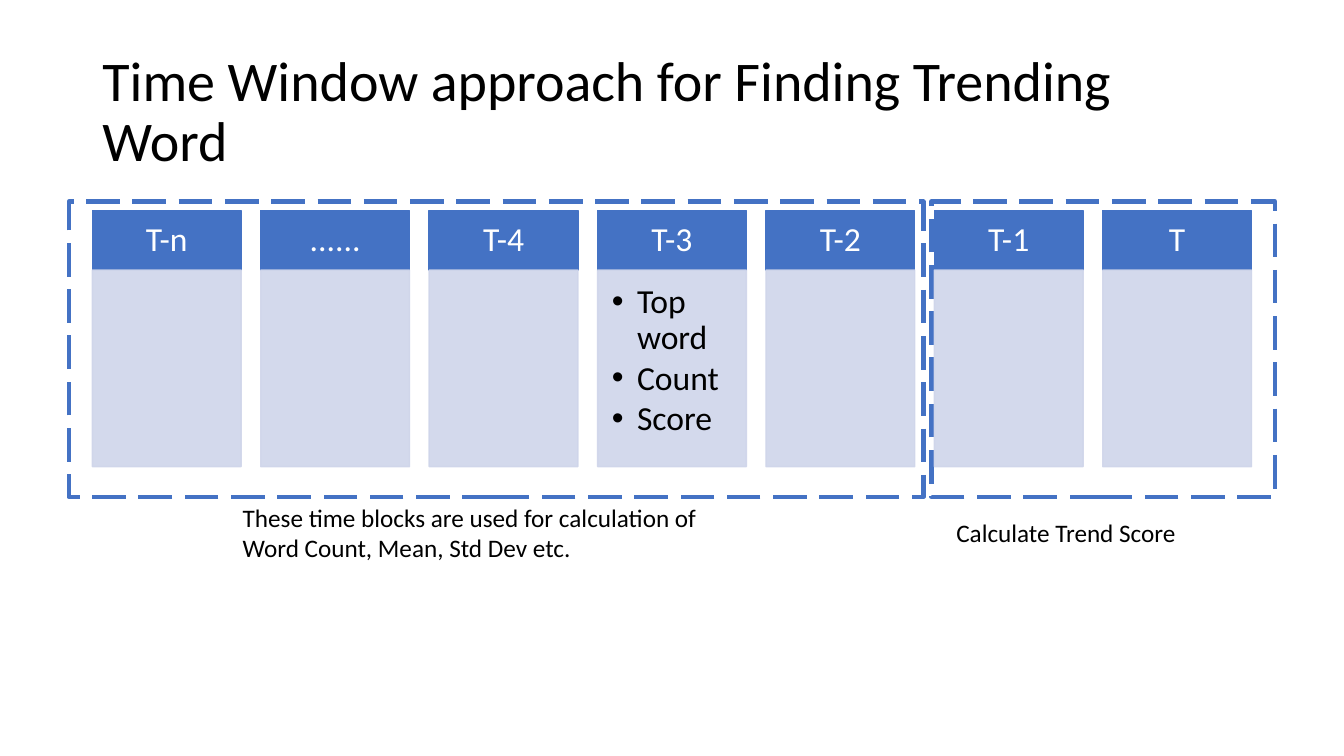
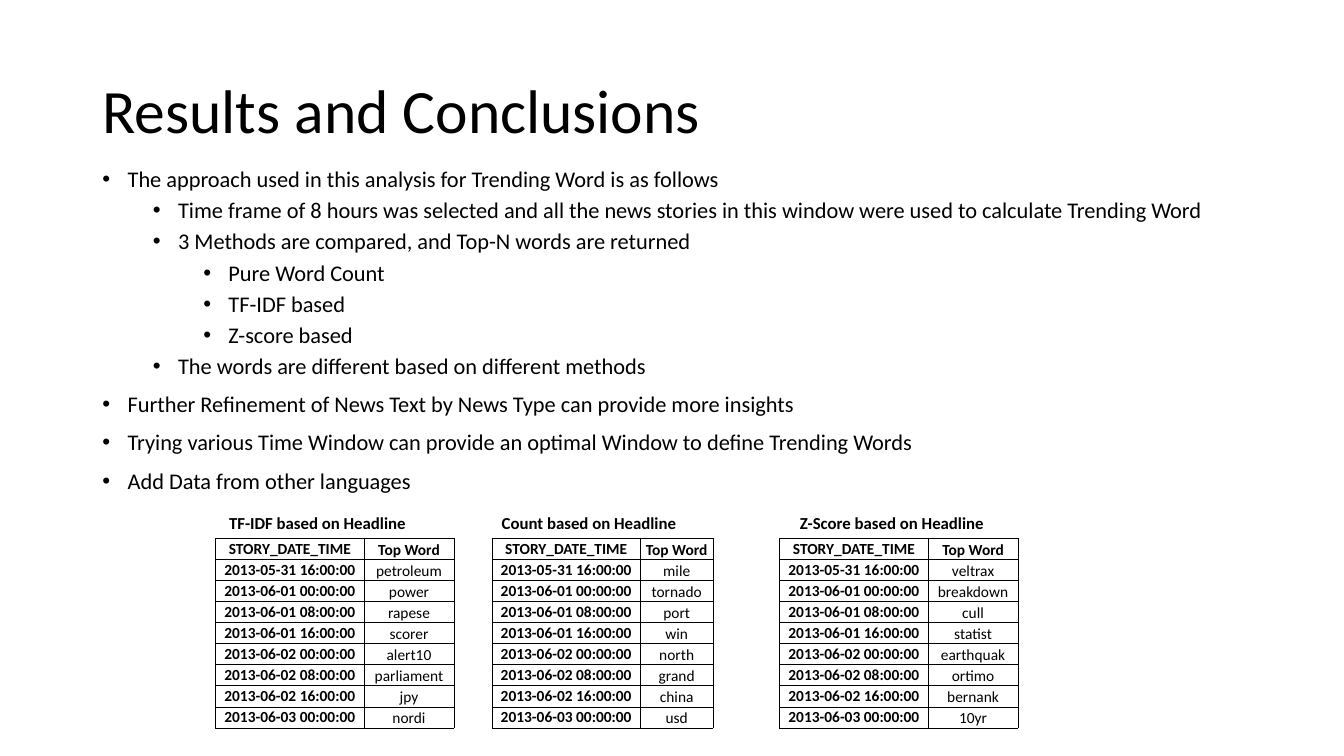
import dataclasses

import lxml.etree
import pptx
import pptx.dml.color
import pptx.enum.dml
import pptx.enum.shapes
import pptx.enum.text
import pptx.oxml.ns
import pptx.util

Pt = pptx.util.Pt
qn = pptx.oxml.ns.qn
Align = pptx.enum.text.PP_ALIGN
Anchor = pptx.enum.text.MSO_ANCHOR


@dataclasses.dataclass(frozen=True)
class Theme:
    font: str = "Calibri"
    ink: str = "000000"
    paper: str = "FFFFFF"
    blue: str = "4472C4"
    pale: str = "CFD5EA"
    title: int = 44
    long_title: int = 40
    block: int = 24
    note: int = 18
    body: int = 16
    label: int = 12
    cell: int = 11
    tight: float = 0.9


THEME = Theme()
TITLE_BOX = (66, 28.8, 828, 104.4)

BLOCKS = [
    ("T-n", []), ("......", []), ("T-4", []),
    ("T-3", ["Top word", "Count", "Score"]),
    ("T-2", []), ("T-1", []), ("T", []),
]
FRAMES = [(665.3, 144, 245.5, 211), (49, 144, 610.6, 211)]
NOTES = [
    ((166.3, 355, 343.4, 51),
     "These time blocks are used for calculation of Word Count, Mean, Std Dev etc."),
    ((676, 365.8, 189.4, 29), "Calculate Trend Score"),
]

POINTS = [
    (0, "The approach used in this analysis for Trending Word is as follows"),
    (1, "Time frame of 8 hours was selected and all the news stories in this "
        "window were used to calculate Trending Word"),
    (1, "3 Methods are compared, and Top-N words are returned"),
    (2, "Pure Word Count"),
    (2, "TF-IDF based"),
    (2, "Z-score based"),
    (1, "The words are different based on different methods"),
    (0, "Further Refinement of News Text by News Type can provide more insights"),
    (0, "Trying various Time Window can provide an optimal Window to define Trending Words"),
    (0, "Add Data from other languages"),
]

HEADS = ("STORY_DATE_TIME", "Top Word")
TIMES = [
    "2013-05-31 16:00:00",
    *(f"2013-06-{day} {hour}:00:00" for day in ("01", "02") for hour in ("00", "08", "16")),
    "2013-06-03 00:00:00",
]
# Label, label left, table left, width of the word column, words
RANKS = [
    ("TF-IDF based on Headline", 156.5, 154.1, 64.2,
     ["petroleum", "power", "rapese", "scorer", "alert10", "parliament", "jpy", "nordi"]),
    ("Count based on Headline", 351.3, 351.5, 51.8,
     ["mile", "tornado", "port", "win", "north", "grand", "china", "usd"]),
    ("Z-Score based on Headline", 564.3, 557, 64.2,
     ["veltrax", "breakdown", "cull", "statist", "earthquak", "ortimo", "bernank", "10yr"]),
]


def color(code):
    return pptx.dml.color.RGBColor.from_string(code)


def points(box):
    return [Pt(side) for side in box]


def add_run(para, text, size, ink=THEME.ink, bold=False):
    run = para.add_run()
    run.text = text
    run.font.name = THEME.font
    run.font.size = Pt(size)
    run.font.bold = bold
    run.font.color.rgb = color(ink)


def set_bullet(para, left):
    """Hang a round bullet 18 points before the text, which starts at left."""
    props = para._p.get_or_add_pPr()
    props.set("marL", str(Pt(left)))
    props.set("indent", str(Pt(-18)))
    lxml.etree.SubElement(props, qn("a:buFont")).set("typeface", "Arial")
    lxml.etree.SubElement(props, qn("a:buChar")).set("char", "•")


def set_pads(frame, left, top, right, bottom):
    frame.margin_left, frame.margin_top = Pt(left), Pt(top)
    frame.margin_right, frame.margin_bottom = Pt(right), Pt(bottom)


def place(holder, box):
    holder.left, holder.top, holder.width, holder.height = points(box)
    holder.text_frame.auto_size = pptx.enum.text.MSO_AUTO_SIZE.NONE
    return holder.text_frame


def start_slide(deck, layout, title, size):
    slide = deck.slides.add_slide(deck.slide_layouts.get_by_name(layout))
    frame = place(slide.shapes.title, TITLE_BOX)
    frame.vertical_anchor = Anchor.MIDDLE
    para = frame.paragraphs[0]
    para.alignment = Align.LEFT
    para.line_spacing = THEME.tight
    add_run(para, title, size)
    return slide


def add_rect(slide, box, fill, line, width=1):
    rect = slide.shapes.add_shape(pptx.enum.shapes.MSO_SHAPE.RECTANGLE, *points(box))
    rect.shadow.inherit = False
    rect.fill.solid()
    rect.fill.fore_color.rgb = color(fill)
    rect.line.color.rgb = color(line)
    rect.line.width = Pt(width)
    return rect


def add_note(slide, box, text, size, bold=False):
    frame = slide.shapes.add_textbox(*points(box)).text_frame
    frame.word_wrap = True
    add_run(frame.paragraphs[0], text, size, bold=bold)


def add_block(slide, box, name, items):
    """Draw a time block: a blue head over a pale box with its list."""
    left, top, width, height = box
    head_high = 42.4
    head = add_rect(slide, (left, top, width, head_high), THEME.blue, THEME.blue)
    set_pads(head.text_frame, 13.6, 7.8, 13.6, 7.8)
    para = head.text_frame.paragraphs[0]
    para.alignment = Align.CENTER
    para.line_spacing = THEME.tight
    add_run(para, name, THEME.block, THEME.paper)

    pane = add_rect(slide, (left, top + head_high, width, height - head_high),
                    THEME.pale, THEME.pale)
    for tint in pane.element.spPr.iter(qn("a:srgbClr")):
        lxml.etree.SubElement(tint, qn("a:alpha")).set("val", "90000")
    frame = pane.text_frame
    frame.vertical_anchor = Anchor.TOP
    set_pads(frame, 10.2, 10.2, 13.6, 15.4)
    for i, item in enumerate(items):
        para = frame.add_paragraph() if i else frame.paragraphs[0]
        para.alignment = Align.LEFT
        para.line_spacing = THEME.tight
        para.space_after = Pt(3)
        set_bullet(para, 18)
        add_run(para, item, THEME.block)


def add_blocks(slide, box, gap):
    left, top, width, height = box
    step = (width + gap) / len(BLOCKS)
    for i, (name, items) in enumerate(BLOCKS):
        add_block(slide, (left + i * step, top, step - gap, height), name, items)


def fill_list(holder, box):
    frame = place(holder, box)
    for i, (level, text) in enumerate(POINTS):
        para = frame.add_paragraph() if i else frame.paragraphs[0]
        para.level = level
        para.line_spacing = THEME.tight
        para.space_before = Pt(5 if level else 10)
        set_bullet(para, 18 + 36 * level)
        add_run(para, text, THEME.body)


def set_edges(cell):
    props = cell._tc.get_or_add_tcPr()
    for i, side in enumerate(("a:lnL", "a:lnR", "a:lnT", "a:lnB")):
        edge = lxml.etree.Element(qn(side), w=str(Pt(0.5)))
        fill = lxml.etree.SubElement(edge, qn("a:solidFill"))
        lxml.etree.SubElement(fill, qn("a:srgbClr")).set("val", THEME.ink)
        props.insert(i, edge)


def add_words(slide, left, top, word_wide, words):
    time_wide, row_high = 106, 15.04
    rows = [HEADS, *zip(TIMES, words)]
    box = (left, top, time_wide + word_wide, row_high * len(rows))
    table = slide.shapes.add_table(len(rows), 2, *points(box)).table
    table.first_row = table.horz_banding = False
    for col, width in zip(table.columns, (time_wide, word_wide)):
        col.width = Pt(width)
    for i, row in enumerate(rows):
        table.rows[i].height = Pt(row_high)
        for j, text in enumerate(row):
            cell = table.cell(i, j)
            set_pads(cell, 0.6, 0.6, 0.6, 0)
            cell.vertical_anchor = Anchor.BOTTOM if j else Anchor.TOP
            cell.fill.background()
            set_edges(cell)
            para = cell.text_frame.paragraphs[0]
            para.alignment = Align.CENTER
            add_run(para, text, THEME.cell, bold=i == 0 or j == 0)


def window_slide(deck):
    slide = start_slide(deck, "Title Only",
                        "Time Window approach for Finding Trending Word", THEME.long_title)
    for box in FRAMES:
        frame = add_rect(slide, box, THEME.paper, THEME.blue, 3)
        frame.line.dash_style = pptx.enum.dml.MSO_LINE.LONG_DASH
    add_blocks(slide, (66, 150.5, 828, 182.8), 14)
    for box, text in NOTES:
        add_note(slide, box, text, THEME.note)


def result_slide(deck):
    slide = start_slide(deck, "Title and Content", "Results and Conclusions", THEME.title)
    fill_list(slide.placeholders[1], (66, 116.6, 828, 246.2))
    for label, label_left, left, word_wide, words in RANKS:
        add_note(slide, (label_left, 363, 170, 21.8), label, THEME.label, True)
        add_words(slide, left, 384.7, word_wide, words)


def main():
    deck = pptx.Presentation()
    deck.slide_width, deck.slide_height = Pt(960), Pt(540)
    window_slide(deck)
    result_slide(deck)
    deck.save("out.pptx")


if __name__ == "__main__":
    main()
